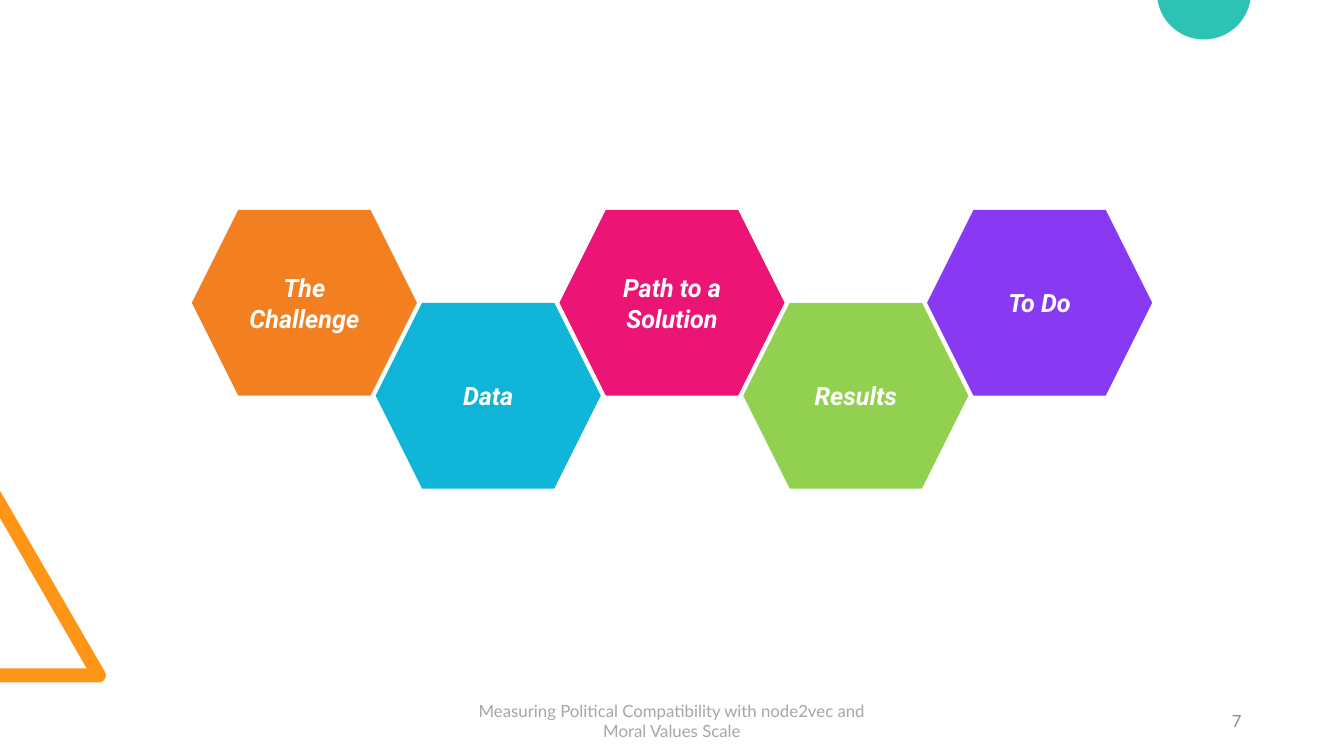
from math import asin, cos, degrees, radians, sin

from pptx import Presentation
from pptx.dml.color import RGBColor
from pptx.enum.shapes import MSO_SHAPE
from pptx.enum.text import MSO_ANCHOR, PP_ALIGN
from pptx.util import Pt

HEXAGON = MSO_SHAPE.HEXAGON
MIDDLE = MSO_ANCHOR.MIDDLE
CENTER, RIGHT = PP_ALIGN.CENTER, PP_ALIGN.RIGHT

WIDTH, HEIGHT = 960, 540
STEPS = [
    ("The Challenge", "F28020"),
    ("Data", "10B4D7"),
    ("Path to a Solution", "EC1475"),
    ("Results", "92D050"),
    ("To Do", "873AF2"),
]


def paint(shape, color):
    shape.shadow.inherit = False
    shape.fill.solid()
    shape.fill.fore_color.rgb = RGBColor.from_string(color)
    shape.line.fill.background()


def write(shape, text, font="Lato", size=12, color="FFFFFF", align=CENTER,
          bold=False, italic=False):
    frame = shape.text_frame
    frame.word_wrap = True
    frame.vertical_anchor = MIDDLE
    para = frame.paragraphs[0]
    para.alignment = align
    run = para.add_run()
    run.text = text
    style = run.font
    style.name, style.size = font, Pt(size)
    style.bold, style.italic = bold, italic
    style.color.rgb = RGBColor.from_string(color)


def arc(x, y, radius, start, end, count=40):
    """Points on a circle, with angles in degrees clockwise from the right."""
    turns = [radians(start + (end - start) * i / count) for i in range(count + 1)]
    return [(x + radius * cos(t), y + radius * sin(t)) for t in turns]


def outline(slide, points, color):
    dots = [(Pt(x), Pt(y)) for x, y in points]
    pen = slide.shapes.build_freeform(*dots[0])
    pen.add_line_segments(dots[1:], close=True)
    paint(pen.convert_to_shape(), color)


def decor(slide, left, top, width, height):
    # Cropped triangle frame with one rounded corner
    base, cap = top + height - 52.6, 5
    corner = arc(left + 70.6, base - cap, cap, -30, 90)
    inner = [(left, base), (left, base - 10), (left + 61.9, base - 10),
             (left, base - 117.4), (left, base - 136.8)]
    outline(slide, inner + corner, "FF9514")

    # Disc cut off by the top edge
    radius, rise = 33.6, 5.4
    cut = degrees(asin(rise / radius))
    disc = arc(left + width - 100, top - rise, radius, cut, 180 - cut)
    outline(slide, disc, "2CC3B4")


def chain(slide, left, top, width, height):
    # Hexagons alternate between two rows, half a cell apart
    cell_w, cell_h = 160.8, height / 1.5
    pitch = (width - cell_w) / (len(STEPS) - 1)
    for i, (text, color) in enumerate(STEPS):
        y = top + i % 2 * cell_h / 2
        cell = slide.shapes.add_shape(
            HEXAGON, Pt(left + i * pitch), Pt(y), Pt(cell_w), Pt(cell_h))
        paint(cell, color)
        write(cell, text, font="Roboto", size=18, bold=True, italic=True)


def footer(slide, left, top, width, height):
    # Title in the middle, slide number at the right
    title = slide.shapes.add_textbox(
        Pt(left + (width - 324) / 2), Pt(top), Pt(324), Pt(height))
    write(title, "Measuring Political Compatibility with node2vec and "
          "Moral Values Scale", color="A6A6A6")
    number = slide.shapes.add_textbox(
        Pt(left + width - 282), Pt(top), Pt(216), Pt(height))
    write(number, "7", color="8C8C8C", align=RIGHT)


def main():
    deck = Presentation()
    deck.slide_width, deck.slide_height = Pt(WIDTH), Pt(HEIGHT)
    slide = deck.slides.add_slide(deck.slide_layouts[6])
    decor(slide, 0, 0, WIDTH, HEIGHT)
    chain(slide, 137, 150, 686, 199)
    footer(slide, 0, 500.5, WIDTH, 28.8)
    deck.save("out.pptx")


if __name__ == "__main__":
    main()
